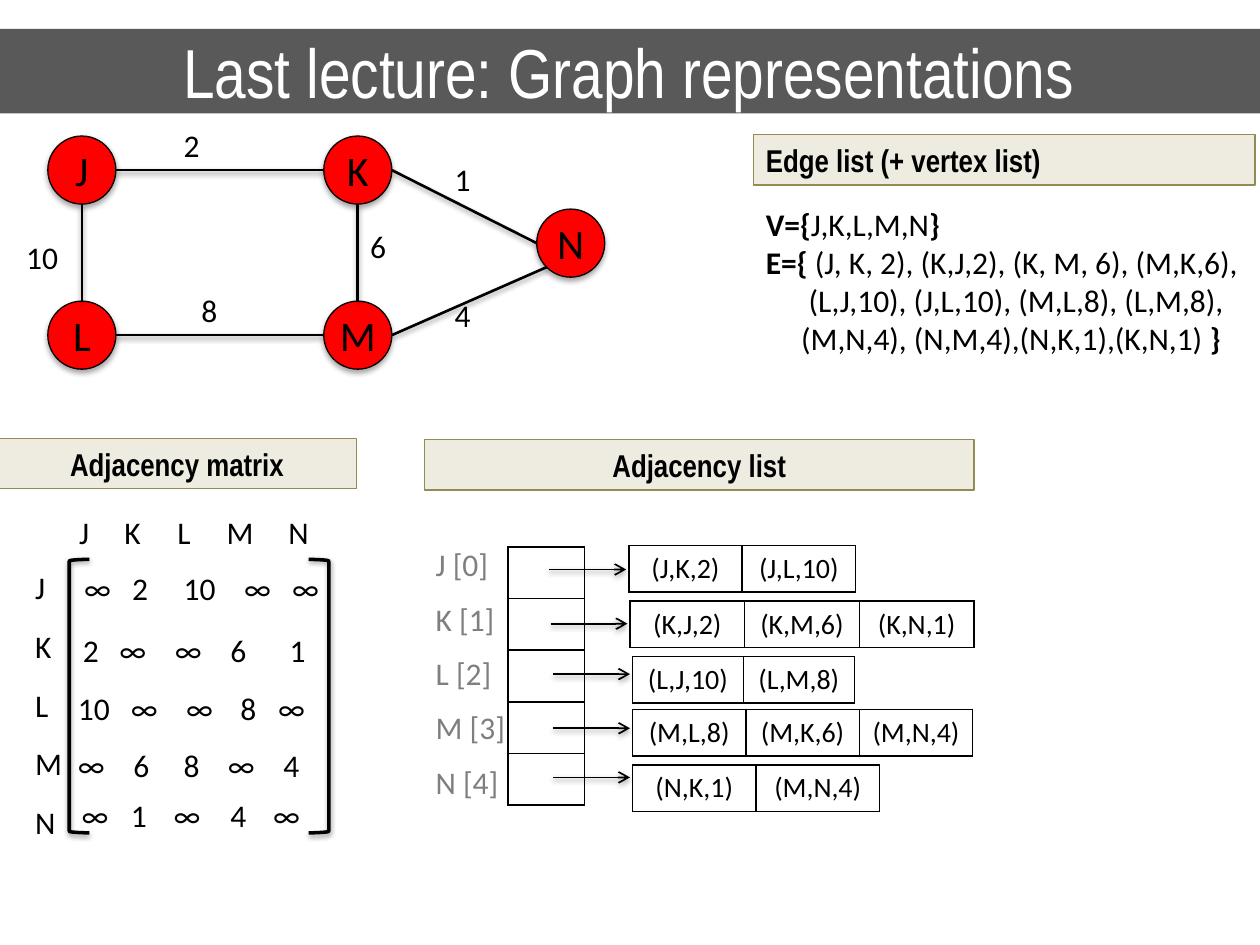
from dataclasses import dataclass

from lxml import etree
from pptx import Presentation
from pptx.dml.color import RGBColor
from pptx.enum.shapes import MSO_CONNECTOR, MSO_SHAPE
from pptx.enum.text import MSO_ANCHOR, MSO_AUTO_SIZE, PP_ALIGN
from pptx.oxml.ns import qn
from pptx.util import Inches, Pt

RECT, OVAL = MSO_SHAPE.RECTANGLE, MSO_SHAPE.OVAL
OPEN, CLOSE = MSO_SHAPE.LEFT_BRACKET, MSO_SHAPE.RIGHT_BRACKET
STRAIGHT = MSO_CONNECTOR.STRAIGHT
LEFT, CENTER = PP_ALIGN.LEFT, PP_ALIGN.CENTER
MIDDLE = MSO_ANCHOR.MIDDLE
FIT = MSO_AUTO_SIZE.SHAPE_TO_FIT_TEXT


@dataclass
class Theme:
    ink: str = "000000"
    paper: str = "FFFFFF"
    bar: str = "595959"
    node: str = "FF0000"
    panel: str = "EEECE1"
    edge: str = "948A54"
    faint: str = "7F7F7F"
    head: str = "Arial Narrow"
    body: str = "Calibri"
    title: float = 39.6
    large: int = 24
    base: int = 18
    cell: int = 16


def color(code):
    return RGBColor.from_string(code)


def child(parent, tag, **attrs):
    return etree.SubElement(parent, qn(tag), {k: str(v) for k, v in attrs.items()})


class Sheet:
    def __init__(self, slide, theme):
        self.slide, self.theme = slide, theme

    def style(self, para, size, ink=None, font=None, bold=None):
        for run in para.runs:
            run.font.size = Pt(size)
            run.font.name = font or self.theme.body
            run.font.color.rgb = color(ink or self.theme.ink)
            if bold is not None:
                run.font.bold = bold

    def shade(self, item, alpha=38, drop=1.6):
        props = item._element.spPr
        for old in props.findall(qn("a:effectLst")):
            props.remove(old)
        glow = child(child(props, "a:effectLst"), "a:outerShdw", blurRad=Pt(3.15),
                     dist=Pt(drop), dir=5400000, rotWithShape=0)
        child(child(glow, "a:srgbClr", val=self.theme.ink), "a:alpha", val=alpha * 1000)

    def shape(self, kind, box, fill=None, line=None, width=0.75):
        item = self.slide.shapes.add_shape(kind, *map(Inches, box))
        item.shadow.inherit = False
        if fill:
            item.fill.solid()
            item.fill.fore_color.rgb = color(fill)
        else:
            item.fill.background()
        if line:
            item.line.color.rgb = color(line)
            item.line.width = Pt(width)
        else:
            item.line.fill.background()
        return item

    def label(self, item, text, size, align=CENTER, **look):
        frame = item.text_frame
        frame.text = text
        frame.vertical_anchor = MIDDLE
        frame.paragraphs[0].alignment = align
        self.style(frame.paragraphs[0], size, **look)

    def panel(self, box, text, align=CENTER):
        item = self.shape(RECT, box, self.theme.panel, self.theme.edge)
        self.label(item, text, self.theme.base, align, font=self.theme.head, bold=True)

    def node(self, name, x, y, r):
        item = self.shape(OVAL, (x - r, y - r, 2 * r, 2 * r), self.theme.node, self.theme.ink)
        item.text_frame.margin_left = item.text_frame.margin_right = Inches(0.04)
        self.label(item, name, self.theme.large)
        self.shade(item, 35, 1.8)

    def line(self, start, end, width=1.5, arrow=False):
        item = self.slide.shapes.add_connector(STRAIGHT, *map(Inches, (*start, *end)))
        item.line.color.rgb = color(self.theme.ink)
        item.line.width = Pt(width)
        if arrow:
            child(item.line._get_or_add_ln(), "a:tailEnd", type="arrow")
        self.shade(item)

    def text(self, box, lines, gap=0, ink=None, wrap=False):
        frame = self.slide.shapes.add_textbox(*map(Inches, box)).text_frame
        frame.word_wrap = wrap
        frame.auto_size = FIT
        frame.text = "\n".join(lines)
        for n, para in enumerate(frame.paragraphs):
            if n and gap:
                para.space_before = Pt(gap)
            self.style(para, self.theme.base, ink)
        return frame

    def row(self, x, y, words, stops):
        frame = self.text((x, y, 2.3, 0.4), ["\t".join(words)], wrap=True)
        tabs = child(frame.paragraphs[0]._p.get_or_add_pPr(), "a:tabLst")
        for stop in stops:
            child(tabs, "a:tab", pos=Inches(stop - x - 0.1), algn="l")

    def table(self, x, y, wide, high, rows):
        count = len(rows[0])
        box = (x, y, wide * count, high * len(rows))
        grid = self.slide.shapes.add_table(len(rows), count, *map(Inches, box)).table
        grid.first_row = grid.horz_banding = False
        for r, words in enumerate(rows):
            for c, word in enumerate(words):
                cell = grid.cell(r, c)
                props = cell._tc.get_or_add_tcPr()
                for side in ("a:lnL", "a:lnR", "a:lnT", "a:lnB"):
                    fill = child(child(props, side, w=Pt(1)), "a:solidFill")
                    child(fill, "a:srgbClr", val=self.theme.ink)
                cell.fill.background()
                if word:
                    cell.text = word
                    cell.text_frame.paragraphs[0].alignment = CENTER
                    self.style(cell.text_frame.paragraphs[0], self.theme.cell)


def main():
    deck = Presentation()
    deck.slide_width, deck.slide_height = Inches(10), Inches(7.5)
    theme = Theme()
    page = Sheet(deck.slides.add_slide(deck.slide_layouts[6]), theme)

    # Title bar
    bar = page.shape(RECT, (-0.02, 0.23, 10.02, 0.67), theme.bar)
    page.label(bar, "Last lecture: Graph representations", theme.title,
               ink=theme.paper, font=theme.head)

    # Graph: nodes, edges and weights
    r = 0.27
    nodes = {"M": (2.84, 2.66), "K": (2.84, 1.35), "L": (0.65, 2.66),
             "J": (0.65, 1.35), "N": (4.53, 1.93)}
    sides = {"l": (-r, 0), "r": (r, 0), "t": (0, -r), "b": (0, r), "bl": (-0.19, 0.19)}
    for name, (x, y) in nodes.items():
        page.node(name, x, y, r)

    def port(name, side):
        return [a + b for a, b in zip(nodes[name], sides[side])]

    edges = [("J", "r", "K", "l", "2", 1.36, 0.95), ("K", "b", "M", "t", "6", 2.84, 1.75),
             ("M", "l", "L", "r", "8", 1.5, 2.26), ("L", "t", "J", "b", "10", 0.11, 1.84),
             ("N", "l", "K", "r", "1", 3.51, 1.22), ("M", "r", "N", "bl", "4", 3.51, 2.3)]
    for one, out, two, into, cost, x, y in edges:
        page.line(port(one, out), port(two, into))
        page.text((x, y, 0.2 + 0.13 * len(cost), 0.4), [cost])

    # Edge list
    page.panel((5.98, 1.07, 3.98, 0.4), "Edge list (+ vertex list)", LEFT)
    sets = [(0, [("V={", True), ("J,K,L,M,N", False), ("}", True)]),
            (0, [("E={ ", True), ("(J, K, 2), (K,J,2), (K, M, 6), (M,K,6),", False)]),
            (0.34, [("(L,J,10), (J,L,10), (M,L,8), (L,M,8),", False)]),
            (0.28, [("(M,N,4), (N,M,4),(N,K,1),(K,N,1) ", False), ("}", True)])]
    frame = page.text((5.98, 1.58, 4.1, 1.62), [""] * len(sets))
    for para, (inset, parts) in zip(frame.paragraphs, sets):
        if inset:
            para._p.get_or_add_pPr().set("marL", str(Inches(inset)))
        for words, _ in parts:
            para.add_run().text = words
        page.style(para, theme.base)
        for run, (_, bold) in zip(para.runs, parts):
            run.font.bold = bold

    # Adjacency matrix
    page.panel((-0.02, 3.48, 2.85, 0.4), "Adjacency matrix")
    for kind, x in ((OPEN, 0.55), (CLOSE, 2.45)):
        page.shade(page.shape(kind, (x, 4.44, 0.16, 2.17), line=theme.ink, width=2))
    names = "JKLMN"
    page.text((0.18, 4.46, 0.42, 2.29), names, gap=12)
    matrix = [(0.53, 4.02, names, (0.99, 1.41, 1.8, 2.29)),
              (0.57, 4.47, ("∞", "2", "10", "∞", "∞"), (1.05, 1.46, 1.94, 2.32)),
              (0.56, 4.96, "2∞∞61", (0.95, 1.39, 1.83, 2.3)),
              (0.52, 5.42, ("10", "∞", "∞", "8", "∞"), (1.04, 1.48, 1.91, 2.21)),
              (0.52, 5.87, "∞68∞4", (1.06, 1.46, 1.81, 2.25)),
              (0.55, 6.27, "∞1∞4∞", (1.04, 1.38, 1.83, 2.17))]
    for entry in matrix:
        page.row(*entry)

    # Adjacency list
    page.panel((3.37, 3.49, 4.36, 0.4), "Adjacency list")
    page.table(4.03, 4.34, 0.61, 0.41, [[""]] * len(names))
    page.text((3.36, 4.28, 0.76, 2.15), [f"{name} [{n}]" for n, name in enumerate(names)],
              gap=9.4, ink=theme.faint)
    chains = [(4.99, 4.33, 0.9, 4.52, ["(J,K,2)", "(J,L,10)"]),
              (5, 4.77, 0.91, 4.95, ["(K,J,2)", "(K,M,6)", "(K,N,1)"]),
              (5.02, 5.21, 0.88, 5.35, ["(L,J,10)", "(L,M,8)"]),
              (5.02, 5.63, 0.9, 5.78, ["(M,L,8)", "(M,K,6)", "(M,N,4)"]),
              (5.02, 6.07, 0.98, 6.17, ["(N,K,1)", "(M,N,4)"])]
    for x, y, wide, mid, words in chains:
        page.line((x - 0.63, mid), (x - 0.02, mid), 1, arrow=True)
        page.table(x, y, wide, 0.37, [words])

    deck.save("out.pptx")


if __name__ == "__main__":
    main()
